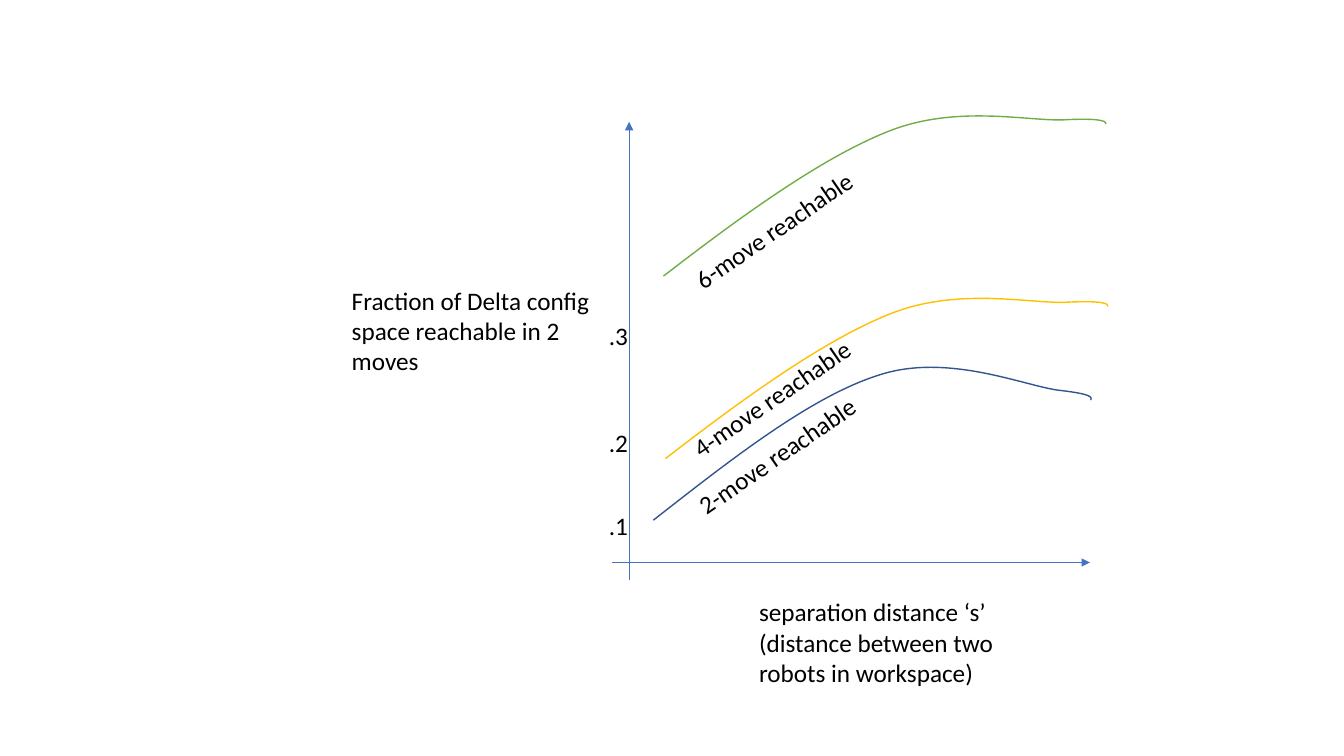
"""Draw reachable configuration-space curves against robot separation distance."""
from lxml.etree import SubElement
from pptx import Presentation
from pptx.dml.color import RGBColor
from pptx.enum.shapes import MSO_CONNECTOR
from pptx.enum.text import MSO_AUTO_SIZE
from pptx.oxml.ns import qn
from pptx.util import Inches, Pt

COLORS = {"axis": "4472C4", "two": "325491", "four": "FFC000",
          "six": "70AD47", "text": "000000"}
TWO_MOVE = [(6.48, 5.16), (7.26, 4.55), (8.05, 3.93), (8.72, 3.72),
            (9.39, 3.5), (10.14, 3.82), (10.49, 3.87),
            (10.84, 3.91), (10.83, 3.94), (10.82, 3.97)]
SIX_MOVE = [(6.58, 2.74), (7.37, 2.13), (8.16, 1.56), (8.82, 1.3),
            (9.48, 1.04), (10.18, 1.2), (10.54, 1.19),
            (10.9, 1.17), (10.98, 1.2), (10.97, 1.23)]
FOUR_MOVE = [(x + 0.02, y + 1.81) for x, y in SIX_MOVE]


def color(name):
    return RGBColor.from_string(COLORS[name])


def add_axis(page, start, end):
    axis = page.shapes.add_connector(
        MSO_CONNECTOR.STRAIGHT, *map(Inches, (*start, *end)))
    axis.line.color.rgb = color("axis")
    axis.line.width = Pt(0.5)
    SubElement(axis.line._get_or_add_ln(), qn("a:tailEnd"), type="triangle")
    SubElement(axis._element.spPr, qn("a:effectLst"))


def add_label(page, text, left, top, width, height, rotation=0):
    box = page.shapes.add_textbox(*map(Inches, (left, top, width, height)))
    box.rotation = rotation
    frame = box.text_frame
    frame.word_wrap = True
    frame.auto_size = MSO_AUTO_SIZE.SHAPE_TO_FIT_TEXT
    para = frame.paragraphs[0]
    para.text = text
    para.font.name = "Calibri"
    para.font.size = Pt(18)
    para.font.color.rgb = color("text")


def add_curve(page, controls, color_name, left, top, width, height):
    """Add a smooth open curve through cubic control points."""
    builder = page.shapes.build_freeform(Inches(left), Inches(top))
    builder.add_line_segments(
        [(Inches(left + width), Inches(top + height))], close=False)
    curve = builder.convert_to_shape()
    outline = curve._element.spPr.find(".//" + qn("a:path"))
    for command in list(outline):
        outline.remove(command)
    groups = [("a:moveTo", controls[:1])]
    groups += [("a:cubicBezTo", controls[i:i + 3])
               for i in range(1, len(controls), 3)]
    for tag, points in groups:
        command = SubElement(outline, qn(tag))
        for x, y in points:
            SubElement(command, qn("a:pt"), x=str(int(Inches(x - left))),
                       y=str(int(Inches(y - top))))
    curve.shadow.inherit = False
    curve.fill.background()
    curve.line.color.rgb = color(color_name)
    curve.line.width = Pt(1)


def add_move_label(page, moves, left, top):
    add_label(page, f"{moves}-move reachable", left, top, 2.72, 0.4, 325.43)


def main():
    deck = Presentation()
    deck.slide_width, deck.slide_height = Inches(13.33), Inches(7.5)
    page = deck.slides.add_slide(deck.slide_layouts[6])

    add_axis(page, (6.07, 5.58), (10.81, 5.58))
    add_axis(page, (6.24, 5.75), (6.24, 1.21))
    add_label(page, "separation distance ‘s’ (distance between two robots in workspace)",
              7.43, 5.87, 2.69, 1.01)
    add_label(page, "Fraction of Delta config space reachable in 2 moves",
              3.39, 2.78, 2.69, 1.01)
    add_curve(page, TWO_MOVE, "two", 6.48, 3.64, 4.35, 1.52)
    for text, top in ((".3", 3.13), (".2", 4.19), (".1", 5.01)):
        add_label(page, text, 5.94, top, 0.72, 0.4)
    add_move_label(page, 2, 6.63, 4.12)
    add_curve(page, FOUR_MOVE, "four", 6.6, 2.95, 4.38, 1.6)
    add_move_label(page, 4, 6.58, 3.55)
    add_curve(page, SIX_MOVE, "six", 6.58, 1.15, 4.38, 1.6)
    add_move_label(page, 6, 6.6, 1.88)

    deck.save("out.pptx")


if __name__ == "__main__":
    main()
